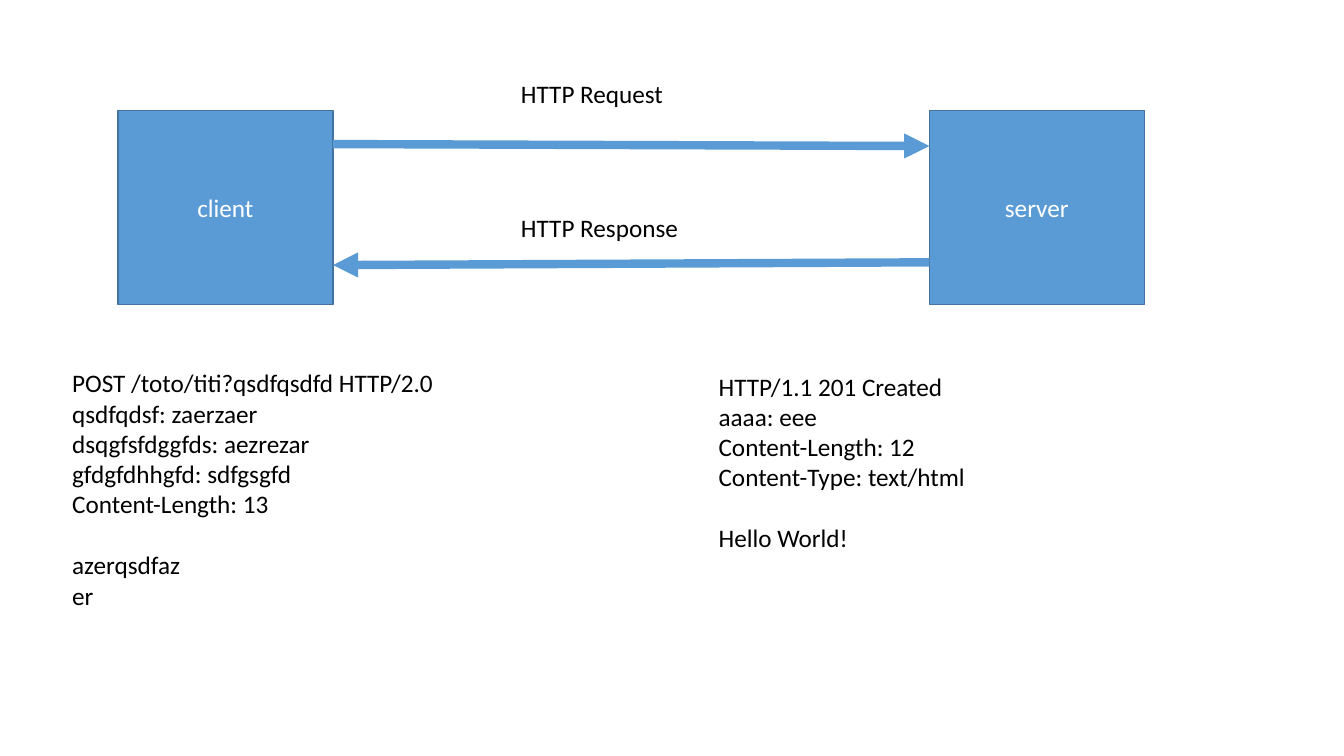
from lxml import etree
from pptx import Presentation
from pptx.dml.color import RGBColor
from pptx.enum.shapes import MSO_CONNECTOR as Connector, MSO_SHAPE as Shape
from pptx.enum.text import MSO_ANCHOR as Anchor, PP_ALIGN as Align
from pptx.oxml.ns import qn
from pptx.util import Cm, Pt

BLUE = RGBColor(0x5B, 0x9B, 0xD5)
DARK_BLUE = RGBColor(0x43, 0x73, 0x9E)
WHITE = RGBColor(0xFF, 0xFF, 0xFF)
BLACK = RGBColor(0, 0, 0)

HOST_WIDTH, HOST_HEIGHT = 5.42, 4.88
LINE_GAP = Pt(22)

REQUEST = ["POST /toto/titi?qsdfqsdfd HTTP/2.0", "qsdfqdsf: zaerzaer",
           "dsqgfsfdggfds: aezrezar", "gfdgfdhhgfd: sdfgsgfd",
           "Content-Length: 13"]
REQUEST_BODY = ["azerqsdfaz", "er"]
RESPONSE = ["HTTP/1.1 201 Created", "aaaa: eee", "Content-Length: 12",
            "Content-Type: text/html"]
RESPONSE_BODY = ["Hello World!"]


def write(para, text, color=BLACK, align=Align.LEFT, before=Pt(0)):
    para.alignment = align
    para.space_before = before
    span = para.add_run()
    span.text = text
    span.font.name = "Calibri"
    span.font.size = Pt(18)
    span.font.color.rgb = color


def add_host(page, name, left, top):
    host = page.shapes.add_shape(Shape.RECTANGLE, Cm(left), Cm(top),
                                 Cm(HOST_WIDTH), Cm(HOST_HEIGHT))
    host.shadow.inherit = False
    host.fill.solid()
    host.fill.fore_color.rgb = BLUE
    host.line.color.rgb = DARK_BLUE
    host.line.width = Pt(1)
    host.text_frame.vertical_anchor = Anchor.MIDDLE
    write(host.text_frame.paragraphs[0], name, color=WHITE, align=Align.CENTER)


def add_arrow(page, start, end):
    arrow = page.shapes.add_connector(
        Connector.STRAIGHT, *(Cm(length) for length in (*start, *end)))
    arrow.line.color.rgb = BLUE
    arrow.line.width = Pt(6)
    outline = arrow.line._get_or_add_ln()
    etree.SubElement(outline, qn("a:tailEnd"), type="triangle")
    etree.SubElement(outline.getparent(), qn("a:effectLst"))


def add_text(page, left, top, width, height, lines, body=()):
    """Stack the lines, then the body after a gap of one line."""
    box = page.shapes.add_textbox(Cm(left), Cm(top), Cm(width), Cm(height))
    frame = box.text_frame
    frame.word_wrap = False
    for index, line in enumerate([*lines, *body]):
        para = frame.add_paragraph() if index else frame.paragraphs[0]
        write(para, line, before=LINE_GAP if index == len(lines) else Pt(0))


def add_exchange(page, left, top, width):
    """Draw both hosts and the arrows between them."""
    server_left = left + width - HOST_WIDTH
    client_right = left + HOST_WIDTH
    label_left = left + 9.91
    add_host(page, "client", left, top)
    add_host(page, "server", server_left, top)
    add_arrow(page, (client_right, top + 0.84), (server_left, top + 0.89))
    add_text(page, label_left, top - 0.94, 4.14, 1.02, ["HTTP Request"])
    add_arrow(page, (server_left, top + 3.82), (client_right, top + 3.89))
    add_text(page, label_left, top + 2.44, 4.52, 1.02, ["HTTP Response"])


def main():
    deck = Presentation()
    deck.slide_width, deck.slide_height = Cm(33.87), Cm(19.05)
    page = deck.slides.add_slide(deck.slide_layouts[6])
    add_exchange(page, left=2.97, top=2.79, width=25.87)
    add_text(page, 1.57, 9.14, 9.7, 6.4, REQUEST, body=REQUEST_BODY)
    add_text(page, 17.86, 9.22, 6.81, 4.88, RESPONSE, body=RESPONSE_BODY)
    deck.save("out.pptx")


if __name__ == "__main__":
    main()
